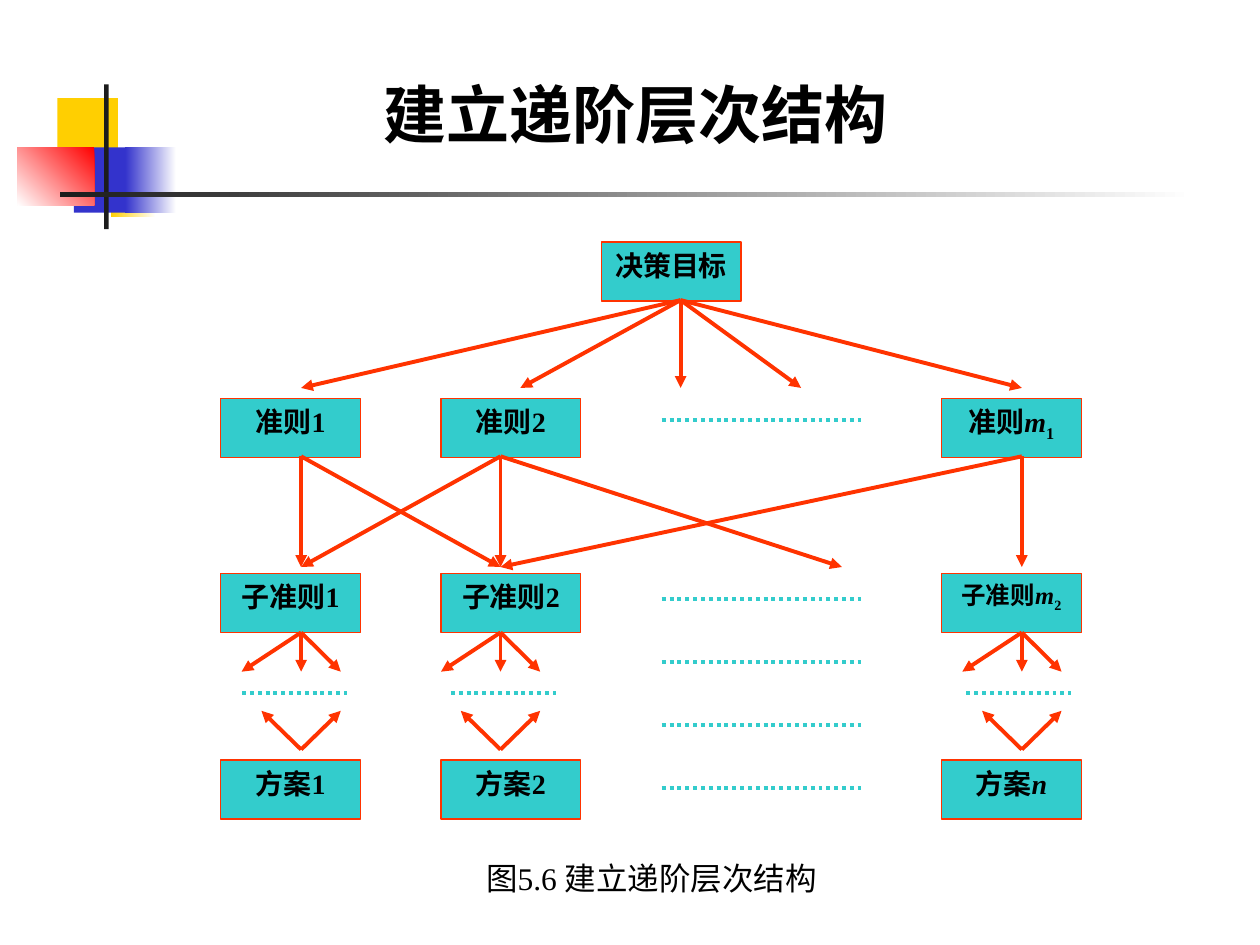
from lxml import etree
from pptx import Presentation
from pptx import util as u
from pptx.dml.color import RGBColor
from pptx.enum import dml, shapes, text
from pptx.oxml.ns import qn

BLACK = RGBColor(0, 0, 0)
WHITE = RGBColor(255, 255, 255)
INK = RGBColor(0x1C, 0x1C, 0x1C)
GOLD = RGBColor(0xFF, 0xCF, 0x01)
BLUE = RGBColor(0x33, 0x33, 0xCC)
RED = RGBColor(255, 0, 0)
TEAL = RGBColor(0x33, 0xCC, 0xCC)
FLAME = RGBColor(0xFF, 0x33, 0x00)
SERIF, SANS = "Times New Roman", "Noto Sans CJK SC"


def style(para, size, bold=False, latin=SERIF):
    """Centre a paragraph and set its Latin and Chinese fonts."""
    para.alignment = text.PP_ALIGN.CENTER
    font = para.font
    font.size, font.bold, font.name = u.Pt(size), bold, latin
    font.color.rgb = BLACK
    props = para._p.pPr.find(qn("a:defRPr"))
    etree.SubElement(props, qn("a:ea")).set("typeface", SANS)


def rect(slide, x, y, w, h):
    box = slide.shapes.add_shape(
        shapes.MSO_SHAPE.RECTANGLE, u.Cm(x), u.Cm(y), u.Cm(w), u.Cm(h))
    box.shadow.inherit = False
    box.line.fill.background()
    return box


def line(slide, x1, y1, x2, y2, color=FLAME):
    """Draw a flame arrow, or a dotted line in any other colour."""
    link = slide.shapes.add_connector(
        shapes.MSO_CONNECTOR.STRAIGHT, u.Cm(x1), u.Cm(y1), u.Cm(x2), u.Cm(y2))
    link.line.width = u.Pt(2.25)
    link.line.color.rgb = color
    if color == FLAME:
        tail = etree.SubElement(link.line._get_or_add_ln(), qn("a:tailEnd"))
        tail.set("type", "triangle")
    else:
        link.line.dash_style = dml.MSO_LINE.ROUND_DOT
    etree.SubElement(link._element.spPr, qn("a:effectLst"))


def node(slide, x, y, label, mark="", sub="", size=16):
    """Draw a labelled box with an optional italic mark and subscript."""
    box = rect(slide, x, y, 2.82, 1.19)
    box.fill.solid()
    box.fill.fore_color.rgb = TEAL
    box.line.color.rgb = FLAME
    box.line.width = u.Pt(0.75)
    frame = box.text_frame
    frame.word_wrap = True
    frame.vertical_anchor = text.MSO_ANCHOR.TOP
    para = frame.paragraphs[0]
    style(para, size, bold=True)
    para.add_run().text = label
    if mark:
        run = para.add_run()
        run.text, run.font.italic = mark, True
    if sub:
        run = para.add_run()
        run.text = sub
        run._r.get_or_add_rPr().set("baseline", "-25000")


def emblem(slide, x, y):
    # Left, top, width, height, colours from start to end, angle
    parts = [
        (0.81, 0.28, 1.22, 1.32, [GOLD], 0),
        (1.88, 1.35, 0.91, 1.32, [WHITE, GOLD], 180),
        (1.14, 1.27, 1.17, 1.32, [BLUE], 0),
        (2.18, 1.27, 1.02, 1.32, [WHITE, BLUE], 180),
        (0, 1.27, 1.55, 1.17, [RED, WHITE], 225),
        (1.75, 0, 0.09, 2.92, [INK], 0),
        (0.87, 2.18, 22.86, 0.1, [WHITE, INK], 180),
    ]
    for left, top, w, h, colors, angle in parts:
        fill = rect(slide, x + left, y + top, w, h).fill
        if len(colors) == 1:
            fill.solid()
            fill.fore_color.rgb = colors[0]
            continue
        fill.gradient()
        fill.gradient_angle = angle
        for stop, color in zip(fill.gradient_stops, colors):
            stop.color.rgb = color


def head(slide, x, y, w, h):
    title = slide.shapes.title
    title.left, title.top = u.Cm(x), u.Cm(y)
    title.width, title.height = u.Cm(w), u.Cm(h)
    title.text = "建立递阶层次结构"
    title.text_frame.vertical_anchor = text.MSO_ANCHOR.BOTTOM
    style(title.text_frame.paragraphs[0], 36, bold=True, latin=SANS)


def tree(slide, x, y):
    cols = [0, 4.44, 14.53]
    stems = [1.62, 5.64, 16.15]
    first, second, last = stems
    hub = 9.27

    def link(x1, y1, x2, y2, color=FLAME):
        line(slide, x + x1, y + y1, x + x2, y + y2, color)

    # Boxes, level by level
    node(slide, x + 7.67, y, "决策目标")
    levels = [
        (3.15, "准则", "m", "1", 16),
        (6.68, "子准则", "m", "2", 14),
        (10.44, "方案", "n", "", 16),
    ]
    for top, name, mark, sub, size in levels:
        node(slide, x + cols[0], y + top, name + "1")
        node(slide, x + cols[1], y + top, name + "2")
        node(slide, x + cols[2], y + top, name, mark, sub, size)

    # Goal to criteria
    for end in (first, 6.04, hub, 11.7, last):
        link(hub, 1.17, end, 2.94)

    # Criteria to sub-criteria
    pairs = [(first, first), (first, second), (second, second),
             (second, first), (last, second), (last, last), (second, 12.52)]
    for start, end in pairs:
        link(start, 4.32, end, 6.55)

    # Sub-criteria and plans towards the levels left out
    for stem, dots in zip(stems, (0.43, 4.64, 15.03)):
        for step in (-1.2, 0, 0.8):
            link(stem, 7.87, stem + step, 8.66)
        for step in (-0.8, 0.8):
            link(stem, 10.23, stem + step, 9.45)
        link(dots, 9.09, dots + 2.11, 9.09, TEAL)

    # Dots for the column left out
    for top in (3.58, 7.19, 8.46, 9.73, 11):
        link(8.89, top, 12.9, top, TEAL)


def caption(slide, x, y, w, h):
    box = slide.shapes.add_textbox(u.Cm(x), u.Cm(y), u.Cm(w), u.Cm(h))
    box.text_frame.word_wrap = True
    para = box.text_frame.paragraphs[0]
    para.text = "图5.6 建立递阶层次结构"
    style(para, 18)


def main():
    deck = Presentation()
    deck.slide_width, deck.slide_height = u.Cm(25.4), u.Cm(19.05)
    slide = deck.slides.add_slide(deck.slide_layouts[5])
    emblem(slide, 0.35, 1.7)
    head(slide, 2.97, 0.64, 19.69, 2.54)
    tree(slide, 4.45, 4.88)
    caption(slide, 8.69, 17.2, 8.89, 1.02)
    deck.save("out.pptx")


if __name__ == "__main__":
    main()
